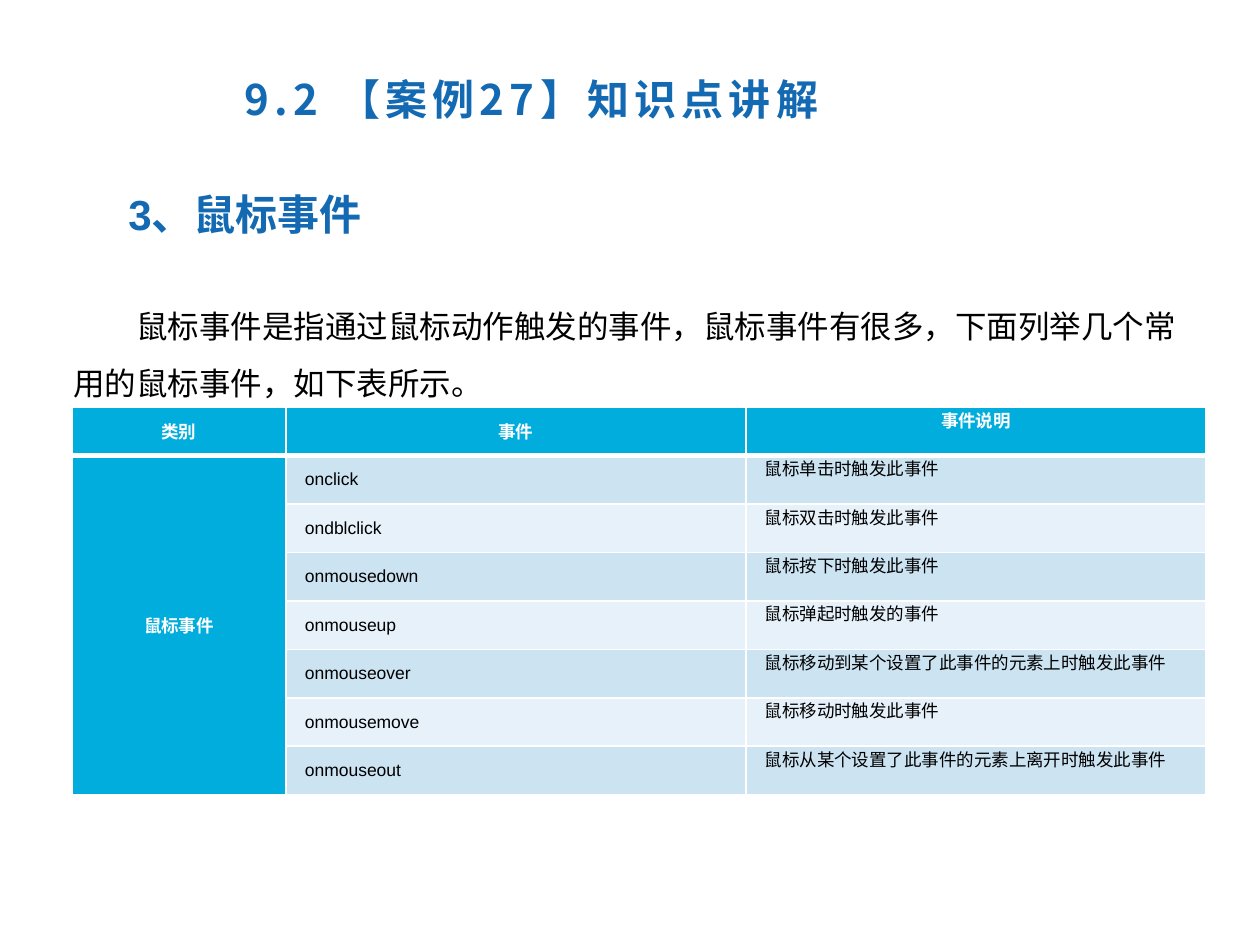
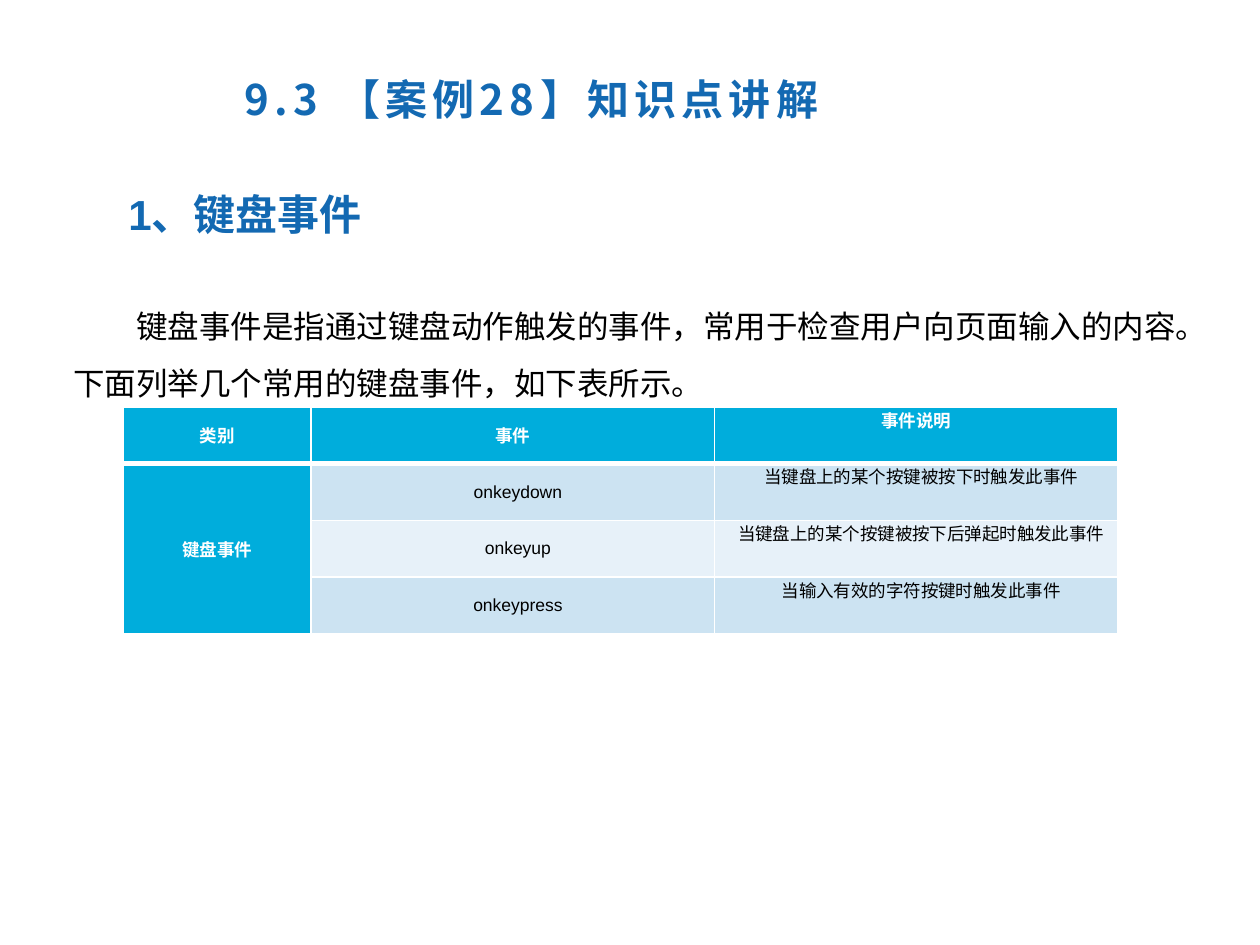
from dataclasses import dataclass

import pptx
import pptx.dml.color
import pptx.enum.text
import pptx.oxml
import pptx.oxml.ns
import pptx.util

Inches = pptx.util.Inches
Align = pptx.enum.text.PP_ALIGN
Anchor = pptx.enum.text.MSO_ANCHOR


@dataclass(frozen=True)
class Theme:
    blue: str = "1369B2"
    cyan: str = "00ADDC"
    odd: str = "CCE3F2"
    even: str = "E7F1F9"
    white: str = "FFFFFF"
    black: str = "000000"
    latin: str = "Arial"
    asian: str = "Noto Sans CJK SC"
    head: int = 24
    body: int = 18
    cell: int = 10


THEME = Theme()


def place(shape, left, top, width, height):
    shape.left, shape.top = Inches(left), Inches(top)
    shape.width, shape.height = Inches(width), Inches(height)


def style(para, size, color, bold=False, font=THEME.latin):
    for run in para.runs:
        run.font.name = font
        run.font.size = pptx.util.Pt(size)
        run.font.bold = bold
        run.font.color.rgb = pptx.dml.color.RGBColor.from_string(color)
        asian = pptx.oxml.parse_xml(
            f'<a:ea {pptx.oxml.ns.nsdecls("a")} typeface="{THEME.asian}"/>')
        run.font._element.find(pptx.oxml.ns.qn("a:latin")).addnext(asian)


def indent(para, margin, first):
    props = para._p.get_or_add_pPr()
    props.set("marL", str(Inches(margin)))
    props.set("indent", str(Inches(first)))
    props.append(pptx.oxml.parse_xml(f'<a:buNone {pptx.oxml.ns.nsdecls("a")}/>'))


def write(shape, text):
    frame = shape.text_frame
    frame.word_wrap = True
    frame.auto_size = pptx.enum.text.MSO_AUTO_SIZE.NONE
    frame.vertical_anchor = Anchor.TOP
    frame.text = text
    para = frame.paragraphs[0]
    para.alignment = Align.LEFT
    return para


def add_title(slide, text):
    title = slide.shapes.title
    place(title, 1.84, 0.53, 8.49, 0.79)
    para = write(title, text)
    style(para, THEME.head, THEME.blue, True, THEME.asian)
    for run in para.runs:
        run.font._element.set("spc", "300")


def add_topic(slide, text):
    box = slide.shapes.add_textbox(Inches(0.42), Inches(1.45), Inches(8.4), Inches(0.5))
    para = write(box, text)
    indent(para, 0.5, 0)
    style(para, THEME.head, THEME.blue, True)


def add_body(slide, text):
    body = slide.placeholders[1]
    place(body, 0.48, 2.24, 9, 1.63)
    para = write(body, text)
    indent(para, 0, 0.5)
    para.line_spacing = 1.5
    para.space_before = pptx.util.Pt(THEME.body * 0.2)
    style(para, THEME.body, THEME.black)


def add_edges(cell, top, bottom):
    props = cell._tc.get_or_add_tcPr()
    for side, width in {"L": 1, "R": 1, "T": top, "B": bottom}.items():
        props.append(pptx.oxml.parse_xml(
            f'<a:ln{side} {pptx.oxml.ns.nsdecls("a")} w="{pptx.util.Pt(width)}">'
            f'<a:solidFill><a:srgbClr val="{THEME.white}"/></a:solidFill></a:ln{side}>'))


def fill_cell(cell, text, row, col, align):
    label = row == 0 or col == 0
    add_edges(cell, 3 if row == 1 else 1, 3 if row == 0 else 1)
    fill = THEME.cyan if label else THEME.odd if row % 2 else THEME.even
    cell.fill.solid()
    cell.fill.fore_color.rgb = pptx.dml.color.RGBColor.from_string(fill)
    cell.margin_left = Inches(0.07 if label else 0.15)
    cell.margin_right = Inches(0.07)
    cell.margin_top = cell.margin_bottom = 0
    cell.vertical_anchor = Anchor.TOP if col == 2 else Anchor.MIDDLE
    cell.text_frame.text = text
    para = cell.text_frame.paragraphs[0]
    para.alignment = Align.CENTER if label else align
    style(para, THEME.cell, THEME.white if label else THEME.black, label)


def add_grid(slide, kind, events, left, widths, height, align):
    rows = [("类别", "事件", "事件说明")]
    rows += [("" if i else kind, *event) for i, event in enumerate(events)]
    frame = slide.shapes.add_table(
        len(rows), len(widths), Inches(left), Inches(3.23),
        Inches(sum(widths)), Inches(height * len(rows)))
    table = frame.table
    for column, width in zip(table.columns, widths):
        column.width = Inches(width)
    for r, texts in enumerate(rows):
        table.rows[r].height = Inches(height)
        for c, text in enumerate(texts):
            fill_cell(table.cell(r, c), text, r, c, align)
    table.cell(1, 0).merge(table.cell(len(rows) - 1, 0))


def add_page(deck, title, topic, body):
    slide = deck.slides.add_slide(deck.slide_layouts[1])
    add_title(slide, title)
    add_body(slide, body)
    add_topic(slide, topic)
    return slide


def main():
    deck = pptx.Presentation()
    deck.slide_width, deck.slide_height = Inches(10), Inches(7.5)

    mouse = add_page(
        deck, "9.2 【案例27】知识点讲解", "3、鼠标事件",
        "鼠标事件是指通过鼠标动作触发的事件，鼠标事件有很多，"
        "下面列举几个常用的鼠标事件，如下表所示。")
    add_grid(mouse, "鼠标事件", [
        ("onclick", "鼠标单击时触发此事件"),
        ("ondblclick", "鼠标双击时触发此事件"),
        ("onmousedown", "鼠标按下时触发此事件"),
        ("onmouseup", "鼠标弹起时触发的事件"),
        ("onmouseover", "鼠标移动到某个设置了此事件的元素上时触发此事件"),
        ("onmousemove", "鼠标移动时触发此事件"),
        ("onmouseout", "鼠标从某个设置了此事件的元素上离开时触发此事件"),
    ], 0.57, (1.7, 3.65, 3.65), 0.385, Align.LEFT)

    keys = add_page(
        deck, "9.3 【案例28】知识点讲解", "1、键盘事件",
        "键盘事件是指通过键盘动作触发的事件，常用于检查用户向页面输入的内容。"
        "下面列举几个常用的键盘事件，如下表所示。")
    add_grid(keys, "键盘事件", [
        ("onkeydown", "当键盘上的某个按键被按下时触发此事件"),
        ("onkeyup", "当键盘上的某个按键被按下后弹起时触发此事件"),
        ("onkeypress", "当输入有效的字符按键时触发此事件"),
    ], 0.98, (1.49, 3.2, 3.2), 0.45, Align.CENTER)

    deck.save("out.pptx")


if __name__ == "__main__":
    main()
